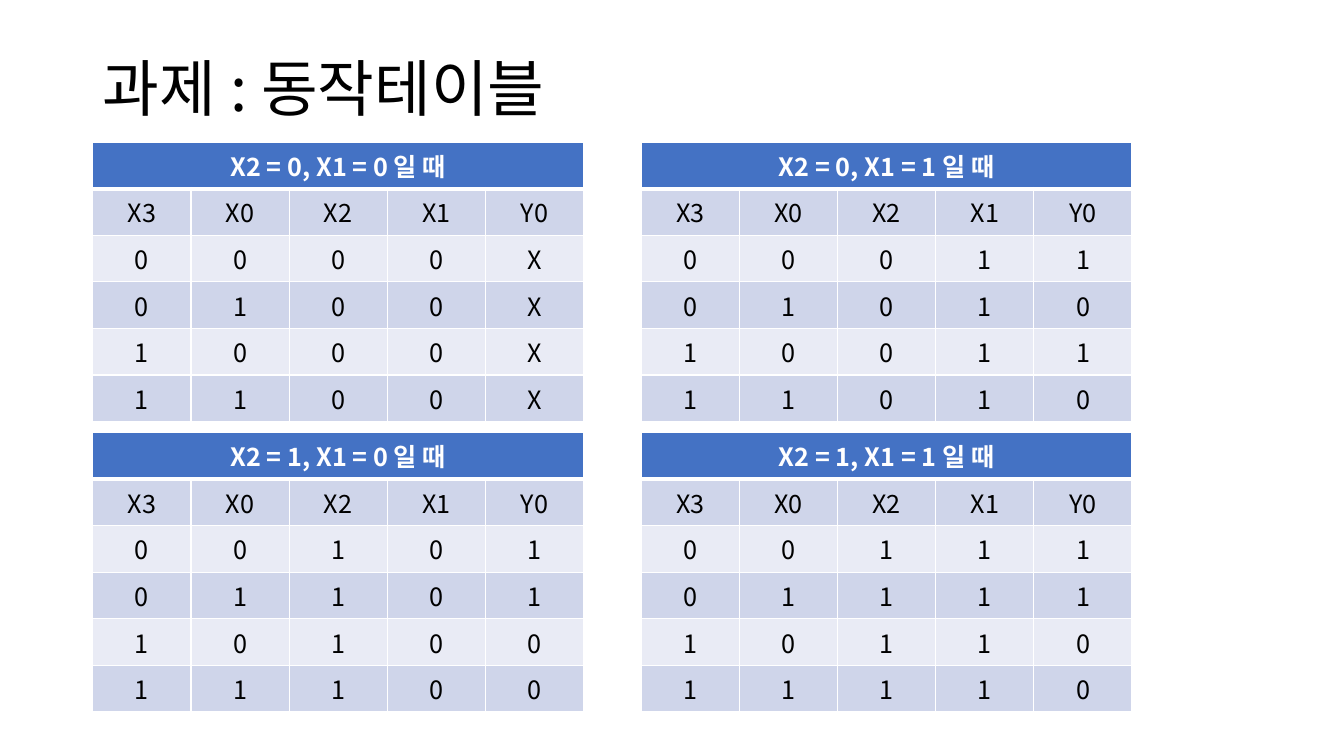
import itertools

import lxml.etree
import pptx
import pptx.dml.color
import pptx.enum.text
import pptx.oxml.ns
import pptx.util

RGBColor = pptx.dml.color.RGBColor
WHITE = RGBColor(0xFF, 0xFF, 0xFF)
BLACK = RGBColor(0x00, 0x00, 0x00)
BLUE = RGBColor(0x44, 0x72, 0xC4)
BANDS = RGBColor(0xCF, 0xD5, 0xEA), RGBColor(0xE9, 0xEB, 0xF5)

LEFT, TOP = 0.92, 1.41
STEP_ACROSS, STEP_DOWN = 5.44, 2.88
TABLE_WIDTH, TABLE_HEIGHT = 4.87, 2.46
ROW_HEIGHTS = [0.21, 0.21, 0.42, 0.42, 0.42, 0.42]
HEADINGS = ["X3", "X0", "X2", "X1", "Y0"]
OUTPUTS = {(0, 0): "XXXX", (0, 1): "1010", (1, 0): "1100", (1, 1): "1100"}


class TruthTableSlide:
    """Draws truth tables on a page, placed by table column and table row."""

    typeface = "Noto Sans CJK KR"

    def __init__(self, deck):
        self.page = deck.slides.add_slide(deck.slide_layouts[5])

    def label(self, frame, text, size, color, align, bold=False):
        para = frame.paragraphs[0]
        para.text = text
        para.alignment = align
        font = para.font
        font.name, font.size, font.bold = self.typeface, pptx.util.Pt(size), bold
        font.color.rgb = color
        latin = para._p.find(".//" + pptx.oxml.ns.qn("a:latin"))
        east_asian = latin.makeelement(pptx.oxml.ns.qn("a:ea"), {"typeface": self.typeface})
        latin.addnext(east_asian)
        return para

    def title(self, text):
        box = self.page.shapes.title
        box.left, box.top = pptx.util.Inches(LEFT), pptx.util.Inches(0.4)
        box.width, box.height = pptx.util.Inches(11.5), pptx.util.Inches(1.01)
        box.text_frame.vertical_anchor = pptx.enum.text.MSO_ANCHOR.MIDDLE
        para = self.label(box.text_frame, text, 44, BLACK, pptx.enum.text.PP_ALIGN.LEFT)
        para.line_spacing = 0.9

    def borders(self, cell, bottom):
        properties = cell._tc.get_or_add_tcPr()
        widths = {"lnL": 1, "lnR": 1, "lnT": 1, "lnB": bottom}
        for position, (side, width) in enumerate(widths.items()):
            line = properties.makeelement(
                pptx.oxml.ns.qn("a:" + side), {"w": str(pptx.util.Pt(width))}
            )
            fill = lxml.etree.SubElement(line, pptx.oxml.ns.qn("a:solidFill"))
            lxml.etree.SubElement(fill, pptx.oxml.ns.qn("a:srgbClr"), val=str(WHITE))
            properties.insert(position, line)

    def cell(self, cell, text, fill, color=BLACK, bold=False, bottom=1):
        cell.fill.solid()
        cell.fill.fore_color.rgb = fill
        self.borders(cell, bottom)
        if text:
            self.label(cell.text_frame, text, 18, color, pptx.enum.text.PP_ALIGN.CENTER, bold)

    def table(self, across, down, caption, rows):
        frame = self.page.shapes.add_table(
            len(rows) + 1,
            len(HEADINGS),
            pptx.util.Inches(LEFT + across * STEP_ACROSS),
            pptx.util.Inches(TOP + down * STEP_DOWN),
            pptx.util.Inches(TABLE_WIDTH),
            pptx.util.Inches(TABLE_HEIGHT),
        )
        table = frame.table
        for row, height in zip(table.rows, ROW_HEIGHTS):
            row.height = pptx.util.Inches(height)
        frame.height = pptx.util.Inches(TABLE_HEIGHT)
        table.cell(0, 0).merge(table.cell(0, len(HEADINGS) - 1))
        for column in range(len(HEADINGS)):
            text = "" if column else caption
            self.cell(table.cell(0, column), text, BLUE, WHITE, bold=True, bottom=3)
        for index, values in enumerate(rows):
            for column, value in enumerate(values):
                self.cell(table.cell(index + 1, column), str(value), BANDS[index % 2])


def main():
    deck = pptx.Presentation()
    deck.slide_width, deck.slide_height = pptx.util.Inches(13.33), pptx.util.Inches(7.5)
    slide = TruthTableSlide(deck)
    slide.title("과제 : 동작테이블")
    for (x2, x1), outputs in OUTPUTS.items():
        inputs = itertools.product((0, 1), repeat=2)
        rows = [(x3, x0, x2, x1, y0) for (x3, x0), y0 in zip(inputs, outputs)]
        slide.table(x1, x2, f"X2 = {x2}, X1 = {x1} 일 때", [HEADINGS, *rows])
    deck.save("out.pptx")


if __name__ == "__main__":
    main()
